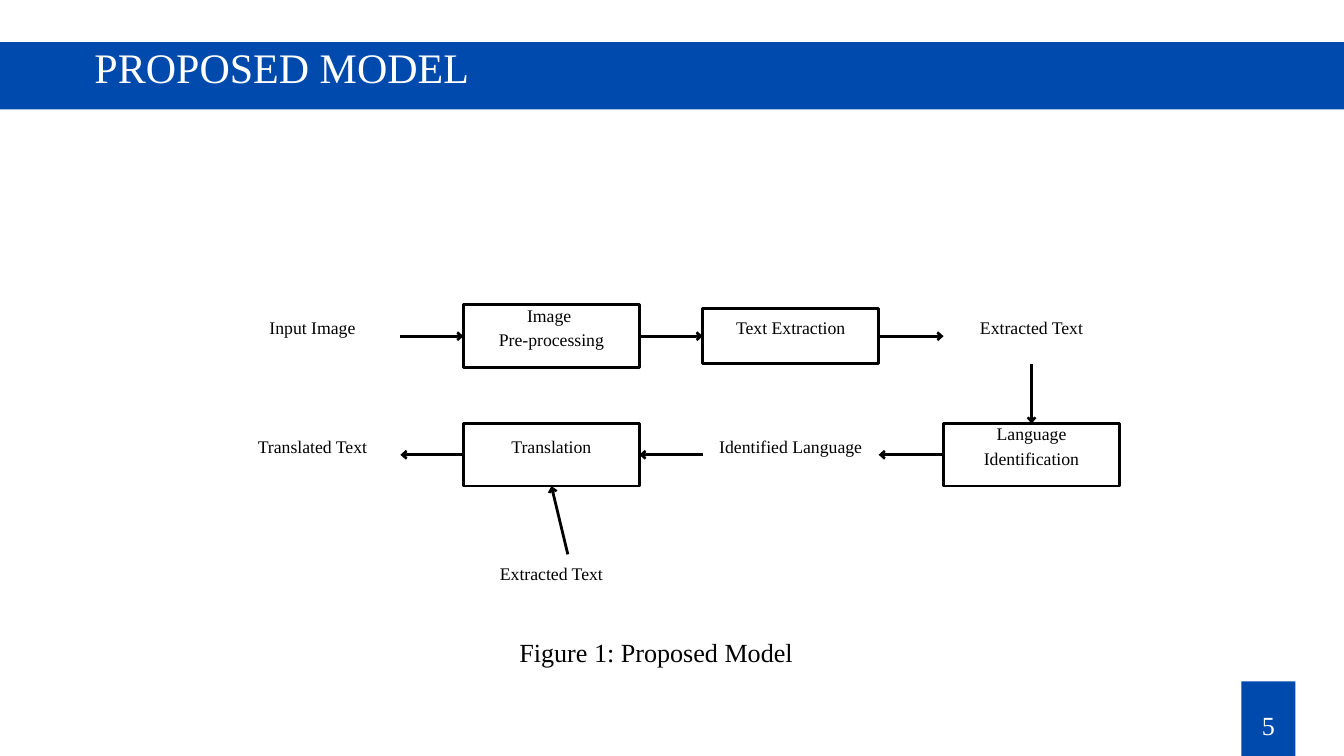
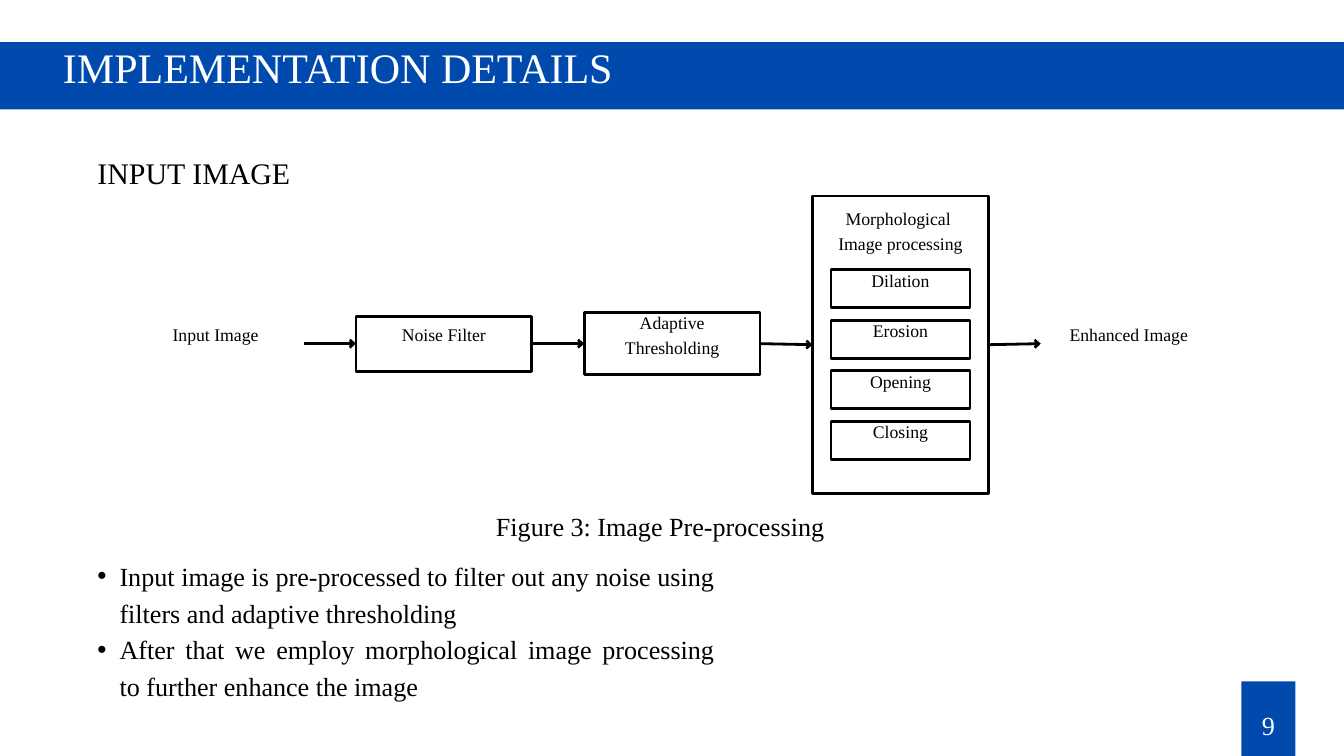
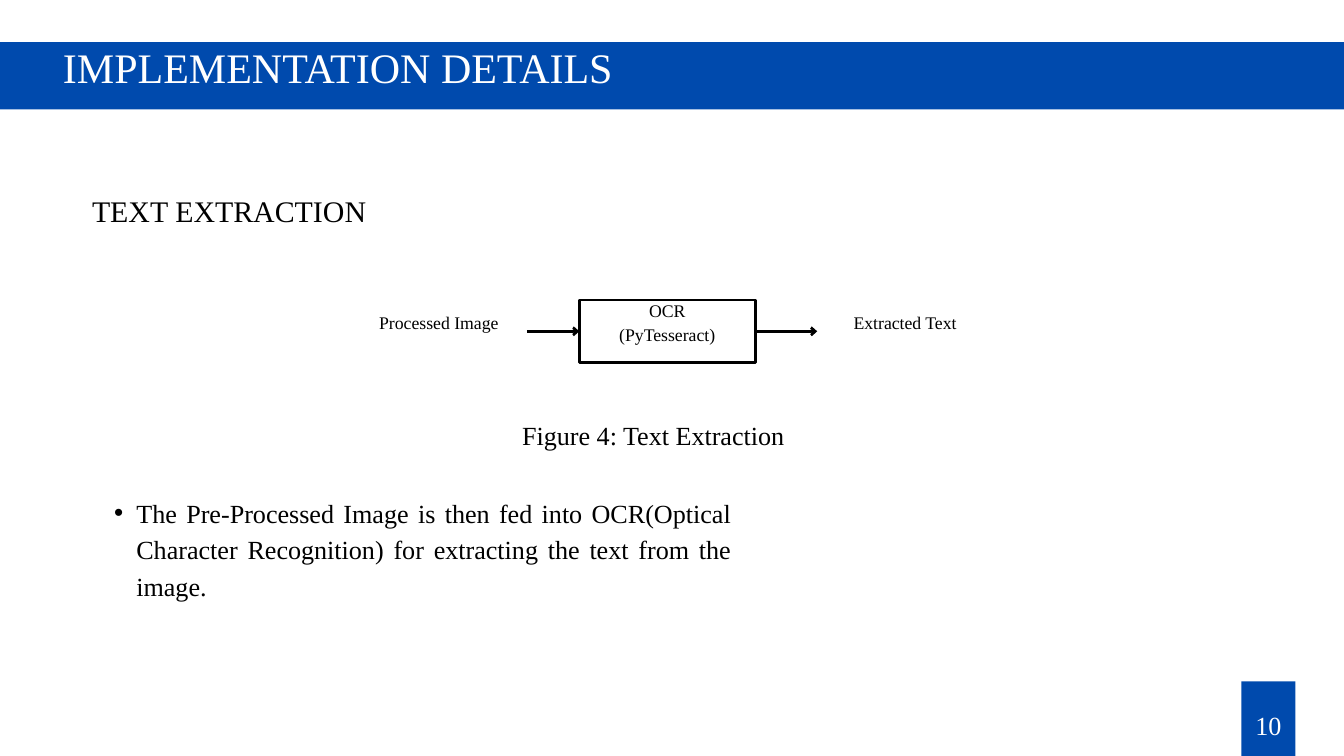
from lxml import etree
from pptx import Presentation
from pptx.dml.color import RGBColor
from pptx.enum.shapes import MSO_CONNECTOR, MSO_SHAPE
from pptx.enum.text import MSO_ANCHOR, PP_ALIGN
from pptx.oxml.ns import qn
from pptx.util import Pt

RECT = MSO_SHAPE.RECTANGLE
LINE = MSO_CONNECTOR.STRAIGHT
LEFT, MID, JUST = PP_ALIGN.LEFT, PP_ALIGN.CENTER, PP_ALIGN.JUSTIFY
TOP, HALF = MSO_ANCHOR.TOP, MSO_ANCHOR.MIDDLE

COLORS = {"band": "004AAD", "paper": "FFFFFF", "ink": "000000"}
FONT = "Times New Roman"
WIDE, HIGH = 1440, 810
STROKE = 3
BOX = 188.4          # width of a step
ONE, TWO = 59, 67    # height of a step with one or two lines
RISE = 22.7          # a label reaches this far above its step
# Connection sites of a rectangle
NORTH, WEST, SOUTH, EAST = range(4)


def color(name):
    return RGBColor.from_string(COLORS[name])


# Basic elements
def rect(shapes, x, y, w, h, fill, edge=False):
    box = shapes.add_shape(RECT, Pt(x), Pt(y), Pt(w), Pt(h))
    box.shadow.inherit = False
    box.fill.solid()
    box.fill.fore_color.rgb = color(fill)
    if edge:
        box.line.color.rgb = color("ink")
        box.line.width = Pt(STROKE)
    else:
        box.line.fill.background()
    return box


def text(shapes, x, y, w, h, lines, size, space, align=LEFT,
         tint="ink", pad=0, anchor=TOP):
    frame = shapes.add_textbox(Pt(x), Pt(y), Pt(w), Pt(h)).text_frame
    frame.word_wrap = True
    frame.vertical_anchor = anchor
    frame.margin_left = frame.margin_right = Pt(pad)
    frame.margin_top = frame.margin_bottom = Pt(pad)
    for i, line in enumerate(lines):
        para = frame.add_paragraph() if i else frame.paragraphs[0]
        para.alignment = align
        para.line_spacing = Pt(space)
        run = para.add_run()
        run.text = line
        run.font.name = FONT
        run.font.size = Pt(size)
        run.font.color.rgb = color(tint)
    return frame


# Text styles
def heading(slide, x, y, line):
    text(slide.shapes, x, y, 684.7, 75, [line], 32, 80, JUST)


def caption(slide, x, y, w, line):
    text(slide.shapes, x, y, w, 42.5, [line], 28, 39.2)


def bullets(slide, x, y, h, lines):
    frame = text(slide.shapes, x, y, 684.7, h, lines, 28, 39.2, JUST)
    for para in frame.paragraphs:
        props = para._p.get_or_add_pPr()
        props.set("marL", str(Pt(47.5)))
        props.set("indent", str(Pt(-23.75)))
        etree.SubElement(props, qn("a:buFont")).set("typeface", "Arial")
        etree.SubElement(props, qn("a:buChar")).set("char", "•")


# Flow chart parts
def step(slide, x, y, w, h, lines, edge=True):
    """A box grouped with its label."""
    group = slide.shapes.add_group_shape()
    box = rect(group.shapes, x, y, w, h, "paper", edge)
    text(group.shapes, x, y - RISE, w, h + RISE, lines, 19, 26.6, MID,
         pad=4.5, anchor=HALF)
    return box


def node(slide, x, mid, *lines, edge=True, h=ONE):
    """A step of standard width, centred on the height mid."""
    return step(slide, x, mid - h / 2, BOX, h, lines, edge)


def data(slide, x, mid, line):
    return node(slide, x, mid, line, edge=False)


def link(slide, start, out, end, into):
    """An arrow from a site of one box, or from a point, to a site of another."""
    wire = slide.shapes.add_connector(LINE, 0, 0, 0, 0)
    if isinstance(start, tuple):
        wire.begin_x, wire.begin_y = (Pt(v) for v in start)
    else:
        wire.begin_connect(start, out)
    wire.end_connect(end, into)
    wire.line.color.rgb = color("ink")
    wire.line.width = Pt(STROKE)
    tip = etree.SubElement(wire.line._get_or_add_ln(), qn("a:tailEnd"))
    for key, val in (("type", "arrow"), ("w", "med"), ("len", "sm")):
        tip.set(key, val)
    etree.SubElement(wire._element.spPr, qn("a:effectLst"))


def chain(slide, nodes, out=EAST, into=WEST):
    for a, b in zip(nodes, nodes[1:]):
        link(slide, a, out, b, into)


# Shared frame: title band and page number
def page(deck, title, inset, number):
    slide = deck.slides.add_slide(deck.slide_layouts[6])
    rect(slide.shapes, -16.5, 45, 1473, 72.3, "band")
    text(slide.shapes, inset, 35.5, WIDE - inset, 68.5, [title], 45, 63,
         tint="paper")
    rect(slide.shapes, 1330, 730, 58, 81, "band")
    text(slide.shapes, 1330.5, 754, 57, 42.5, [str(number)], 28, 39.2, MID,
         "paper")
    return slide


def model(deck):
    slide = page(deck, "PROPOSED MODEL", 101.25, 5)
    cols = (240.6, 496.6, 753, 1011)
    top, low, base = 360.2, 487.3, 623.5
    there = [
        data(slide, cols[0], top, "Input Image"),
        node(slide, cols[1], top, "Image ", "Pre-processing", h=TWO),
        node(slide, cols[2], top, "Text Extraction"),
        data(slide, cols[3], top, "Extracted Text"),
    ]
    back = [
        node(slide, cols[3], low, "Language Identification", h=TWO),
        data(slide, cols[2], low, "Identified Language"),
        node(slide, cols[1], low, "Translation", h=TWO),
        data(slide, cols[0], low, "Translated Text"),
    ]
    data(slide, cols[1], base, "Extracted Text")
    chain(slide, there)
    link(slide, there[-1], SOUTH, back[0], NORTH)
    chain(slide, back, WEST, EAST)
    link(slide, (608.4, base - ONE / 2), None, back[2], SOUTH)
    caption(slide, 556.5, 676, 326, "Figure 1: Proposed Model")


def cleanup(deck):
    slide = page(deck, "IMPLEMENTATION DETAILS", 67.5, 9)
    heading(slide, 104.4, 124, "INPUT IMAGE")
    cols = [136.8 + 244.6 * i for i in range(5)]
    mid = 368.2
    first = data(slide, cols[0], mid, "Input Image")
    noise = node(slide, cols[1], mid, "Noise Filter")
    level = node(slide, cols[2], mid, "Adaptive", "Thresholding", h=TWO)
    morph = rect(slide.shapes, cols[3], 210, BOX, 318.7, "paper", True)
    last = data(slide, cols[4], mid, "Enhanced Image")
    # Operations inside the tall box
    step(slide, cols[3] + 5.7, 226.6, 177, 61,
         ["Morphological ", "Image processing"], False)
    for i, name in enumerate(("Dilation", "Erosion", "Opening", "Closing")):
        step(slide, cols[3] + 19.7, 289 + 54.1 * i, 149, 40.8, [name])
    chain(slide, [first, noise, level, morph, last])
    bullets(slide, 80.6, 594.7, 159, [
        "Input image is pre-processed to filter out any noise using filters "
        "and adaptive thresholding",
        "After that we employ morphological image processing to further "
        "enhance the image",
    ])
    caption(slide, 531.4, 540.7, 378, "Figure 3: Image Pre-processing")


def reading(deck):
    slide = page(deck, "IMPLEMENTATION DETAILS", 67.5, 10)
    heading(slide, 98.6, 165, "TEXT EXTRACTION")
    mid = 355
    chain(slide, [
        data(slide, 376, mid, "Processed Image"),
        node(slide, 620.7, mid, "OCR", "(PyTesseract)", h=TWO),
        data(slide, 875.6, mid, "Extracted Text"),
    ])
    bullets(slide, 98.6, 527, 120, [
        "The Pre-Processed Image is then fed into OCR(Optical Character "
        "Recognition) for extracting the text from the image.",
    ])
    caption(slide, 559.4, 444.2, 321, "Figure 4: Text Extraction")


def main():
    deck = Presentation()
    deck.slide_width, deck.slide_height = Pt(WIDE), Pt(HIGH)
    model(deck)
    cleanup(deck)
    reading(deck)
    deck.save("out.pptx")


if __name__ == "__main__":
    main()
